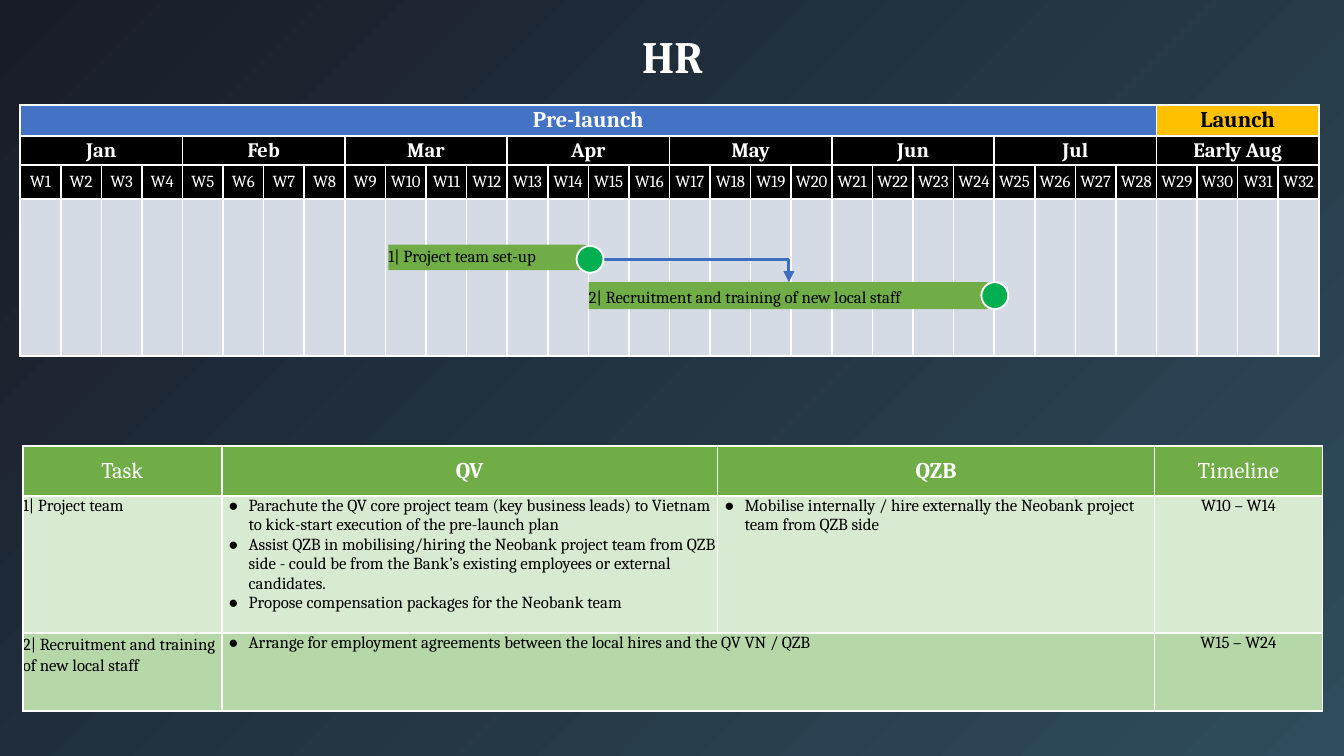
from dataclasses import dataclass
from lxml.etree import SubElement
from pptx import Presentation
from pptx.dml.color import RGBColor
from pptx.enum.shapes import MSO_CONNECTOR, MSO_SHAPE
from pptx.enum.text import MSO_ANCHOR, PP_ALIGN
from pptx.oxml.ns import qn
from pptx.util import Inches, Pt


@dataclass(frozen=True)
class Theme:
    font: str = "Cambria"
    mark: str = "Arial"
    white: str = "FFFFFF"
    black: str = "000000"
    dark: str = "181C28"
    teal: str = "2F4D5C"
    blue: str = "4472C4"
    arrow: str = "3E6EC2"
    gold: str = "FFC000"
    grid: str = "D5DBE5"
    green: str = "70AD47"
    dot: str = "00B050"
    pale: str = "D9EAD3"
    sage: str = "B6D7A8"
    title: int = 24
    head: int = 12
    month: int = 11
    body: int = 9


THEME = Theme()
WEEKS = 32


def rgb(code):
    return RGBColor.from_string(code)


def write(frame, lines, size, color, bold=False, align=PP_ALIGN.LEFT, space=None):
    frame.text = "\n".join(lines)
    for para in frame.paragraphs:
        para.alignment = align
        if space:
            para.line_spacing = space
        for run in para.runs:
            font = run.font
            font.name, font.size, font.bold = THEME.font, Pt(size), bold
            font.color.rgb = rgb(color)


def inset(part, left, top, right, low):
    part.margin_left, part.margin_top = Inches(left), Inches(top)
    part.margin_right, part.margin_bottom = Inches(right), Inches(low)


def bullet(para):
    props = para._p.get_or_add_pPr()
    props.set("marL", str(Inches(0.2)))
    props.set("indent", str(Inches(-0.15)))
    color = SubElement(props, qn("a:buClr"))
    SubElement(color, qn("a:srgbClr"), val=THEME.black)
    SubElement(props, qn("a:buFont"), typeface=THEME.mark)
    SubElement(props, qn("a:buChar"), char="●")


def paint(cell, color):
    props = cell._tc.get_or_add_tcPr()
    for side in ("lnL", "lnR", "lnT", "lnB"):
        line = SubElement(props, qn(f"a:{side}"), w=str(Pt(1)))
        solid = SubElement(line, qn("a:solidFill"))
        SubElement(solid, qn("a:srgbClr"), val=THEME.white)
    cell.fill.solid()
    cell.fill.fore_color.rgb = rgb(color)
    inset(cell, 0, 0, 0, 0)


def make_table(slide, box, cols, rows, fills):
    size = [Inches(v) for v in box]
    table = slide.shapes.add_table(len(rows), len(cols), *size).table
    table.first_row = table.horz_banding = False
    for col, width in zip(table.columns, cols):
        col.width = Inches(width)
    for row, height, fill in zip(table.rows, rows, fills):
        row.height = Inches(height)
        for cell in row.cells:
            paint(cell, fill)
    return table


def label(table, row, col, span, text, size, color=THEME.white, bold=True):
    cell = table.cell(row, col)
    if span > 1:
        cell.merge(table.cell(row, col + span - 1))
    cell.vertical_anchor = MSO_ANCHOR.MIDDLE
    write(cell.text_frame, [text], size, color, bold, PP_ALIGN.CENTER)
    return cell


def add_title(slide, box, text):
    frame = slide.shapes.add_textbox(*[Inches(v) for v in box]).text_frame
    frame.word_wrap = True
    inset(frame, 0.09, 0.09, 0.09, 0.09)
    write(frame, [text], THEME.title, THEME.white, True, PP_ALIGN.CENTER)


def add_weeks(slide, box):
    step = box[2] / WEEKS
    fills = [THEME.blue, THEME.black, THEME.black, THEME.grid]
    table = make_table(slide, box, [step] * WEEKS, [0.23, 0.22, 0.25, 1.17], fills)
    label(table, 0, 0, 28, "Pre-launch", THEME.head)
    launch = label(table, 0, 28, 4, "Launch", THEME.head, THEME.black)
    launch.fill.fore_color.rgb = rgb(THEME.gold)
    months = ["Jan", "Feb", "Mar", "Apr", "May", "Jun", "Jul", "Early Aug"]
    for spot, month in enumerate(months):
        label(table, 1, spot * 4, 4, month, THEME.month)
    for week in range(WEEKS):
        label(table, 2, week, 1, f"W{week + 1}", THEME.body, bold=False)


def add_shape(slide, kind, box, color):
    shape = slide.shapes.add_shape(kind, *[Inches(v) for v in box])
    shape.shadow.inherit = False
    shape.fill.solid()
    shape.fill.fore_color.rgb = rgb(color)
    shape.line.fill.background()
    return shape


def add_bar(slide, box, text, space):
    bar = add_shape(slide, MSO_SHAPE.PENTAGON, box, THEME.green)
    bar.adjustments[0] = 0.724
    frame = bar.text_frame
    frame.word_wrap = True
    frame.vertical_anchor = MSO_ANCHOR.MIDDLE
    inset(frame, 0, 0, 0.1, 0)
    write(frame, [text], THEME.body, THEME.black, space=space)


def add_dot(slide, x, y, size):
    box = (x - size / 2, y - size / 2, size, size)
    dot = add_shape(slide, MSO_SHAPE.OVAL, box, THEME.dot)
    dot.line.color.rgb = rgb(THEME.white)
    dot.line.width = Pt(1)


def add_link(slide, *ends):
    link = slide.shapes.add_connector(MSO_CONNECTOR.ELBOW, *[Inches(v) for v in ends])
    link.line.color.rgb = rgb(THEME.arrow)
    link.line.width = Pt(1.5)
    props = link._element.spPr
    props.find(qn("a:prstGeom")).set("prst", "bentConnector2")
    SubElement(props.find(qn("a:ln")), qn("a:tailEnd"), type="triangle")
    SubElement(props, qn("a:effectLst"))


def add_plan(slide, box):
    left, top, width, _ = box
    step, size = width / WEEKS, 0.2
    tasks = [
        (2.74, 1.04, 1.6, 0.19, "1| Project team set-up", 0.89),
        (4.23, 1.32, 3.11, 0.2, "2| Recruitment and training of new local staff", 1.11),
    ]
    for x, y, wide, high, text, space in tasks:
        add_bar(slide, (left + x, top + y, wide, high), text, space)
    dots = [(left + 14 * step + 0.01, top + 1.15), (left + 24 * step, top + 1.42)]
    x, y = dots[0]
    add_link(slide, x + size / 2, y, left + 5.72, top + 1.32)
    for x, y in dots:
        add_dot(slide, x, y, size)


def add_tasks(slide, box):
    cols, rows = [1.48, 3.69, 3.25, 1.25], [0.37, 1.02, 0.58]
    fills = [THEME.green, THEME.pale, THEME.sage]
    table = make_table(slide, box, cols, rows, fills)
    for col, text in enumerate(["Task", "QV", "QZB", "Timeline"]):
        label(table, 0, col, 1, text, THEME.head, bold=col in (1, 2))
    table.cell(2, 1).merge(table.cell(2, 2))
    items = [
        (1, 0, ["1| Project team"]),
        (1, 1, [
            "Parachute the QV core project team (key business leads) to Vietnam to kick-start execution of the pre-launch plan",
            "Assist QZB in mobilising/hiring the Neobank project team from QZB side - could be from the Bank’s existing employees or external candidates.",
            "Propose compensation packages for the Neobank team",
        ]),
        (1, 2, ["Mobilise internally / hire externally the Neobank project team from QZB side"]),
        (1, 3, ["W10 – W14"]),
        (2, 0, ["2| Recruitment and training of new local staff"]),
        (2, 1, ["Arrange for employment agreements between the local hires and the QV VN / QZB"]),
        (2, 3, ["W15 – W24"]),
    ]
    for row, col, lines in items:
        frame = table.cell(row, col).text_frame
        align = PP_ALIGN.CENTER if col == 3 else PP_ALIGN.LEFT
        space = 1.11 if (row, col) == (2, 0) else None
        write(frame, lines, THEME.body, THEME.black, align=align, space=space)
        if col in (1, 2):
            for para in frame.paragraphs:
                bullet(para)


def main():
    deck = Presentation()
    deck.slide_width, deck.slide_height = Inches(10), Inches(10 * 9 / 16)
    slide = deck.slides.add_slide(deck.slide_layouts[6])
    fill = slide.background.fill
    fill.gradient()
    fill.gradient_angle = 315
    for stop, color in zip(fill.gradient_stops, (THEME.dark, THEME.teal)):
        stop.color.rgb = rgb(color)
    chart = (0.15, 0.78, 9.67, 1.87)
    add_title(slide, (1.02, 0.12, 7.97, 0.53), "HR")
    add_weeks(slide, chart)
    add_tasks(slide, (0.17, 3.32, 9.67, 1.97))
    add_plan(slide, chart)
    deck.save("out.pptx")


if __name__ == "__main__":
    main()
